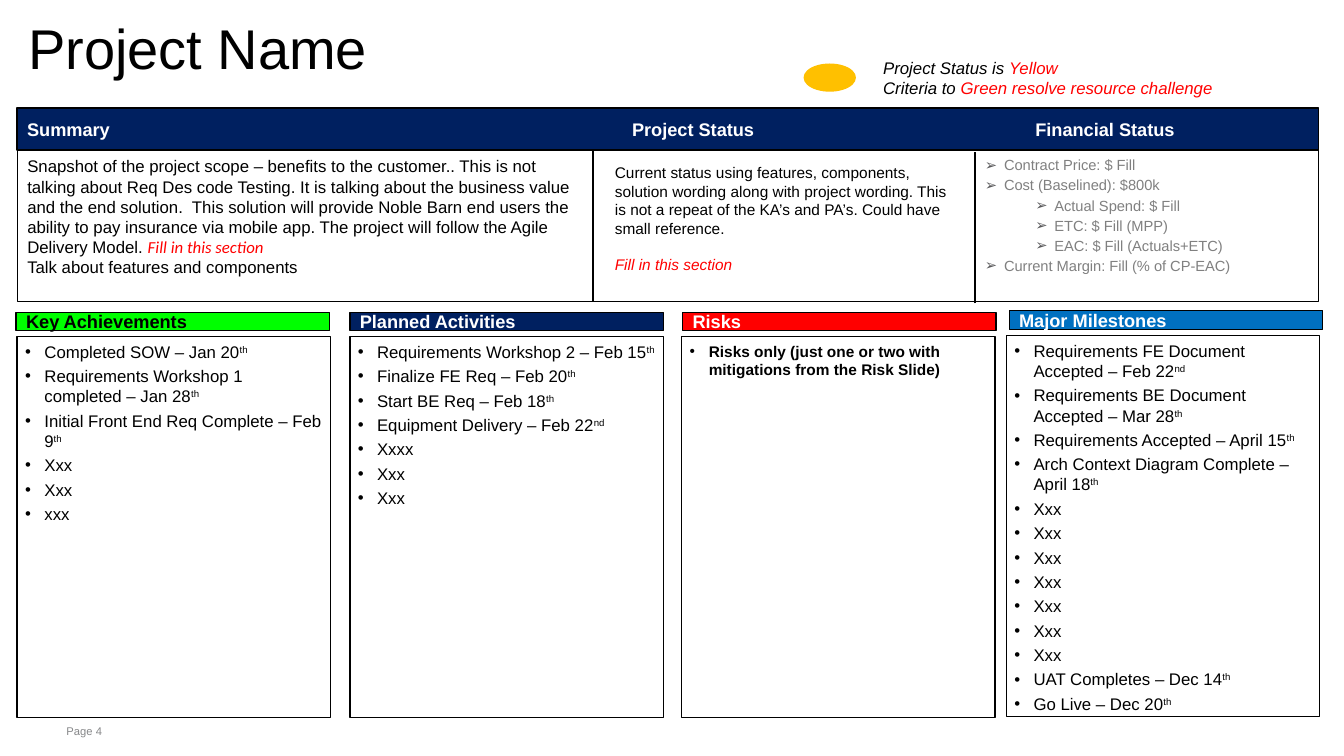
from lxml.etree import SubElement
from pptx import Presentation
from pptx.dml.color import RGBColor
from pptx.enum.shapes import MSO_CONNECTOR as Connector, MSO_SHAPE as Shape
from pptx.enum.text import MSO_ANCHOR as Anchor, PP_ALIGN as Align
from pptx.oxml.ns import qn
from pptx.util import Inches, Pt

SLIDE_WIDTH, SLIDE_HEIGHT = Inches(13.33), Inches(7.5)

BLACK = RGBColor(0x00, 0x00, 0x00)
WHITE = RGBColor(0xFF, 0xFF, 0xFF)
NAVY = RGBColor(0x00, 0x20, 0x60)
BLUE = RGBColor(0x00, 0x70, 0xC0)
GREEN = RGBColor(0x00, 0xFF, 0x00)
RED = RGBColor(0xFF, 0x00, 0x00)
AMBER = RGBColor(0xFF, 0xC0, 0x00)
GRAY = RGBColor(0x80, 0x80, 0x80)
PAGE_GRAY = RGBColor(0x87, 0x88, 0x8A)
BULLET_GRAY = RGBColor(0x58, 0x58, 0x5A)

BODY_INSET = (0.08, 0.05)
BAR_INSET = (0.1, 0.09)
HANG = 0.19
FILL_IN = "Fill in this section"

PANELS = [
    ("Key Achievements", GREEN, BLACK, (1.2, 41.33, 23.33, 2.4), (1.28, 44.53, 23.33, 50.4),
     ["Completed SOW – Jan 20^th", "Requirements Workshop 1 completed – Jan 28^th",
      "Initial Front End Req Complete – Feb 9^th", "Xxx", "Xxx", "xxx"], {}),
    ("Planned Activities", NAVY, WHITE, (26.03, 41.33, 23.33, 2.4), (26.03, 44.53, 23.33, 50.4),
     ["Requirements Workshop 2 – Feb 15^th", "Finalize FE Req – Feb 20^th",
      "Start BE Req – Feb 18^th", "Equipment Delivery – Feb 22^nd", "Xxxx", "Xxx", "Xxx"], {}),
    ("Risks", RED, WHITE, (50.79, 41.33, 23.33, 2.4), (50.71, 44.53, 23.33, 50.4),
     ["Risks only (just one or two with mitigations from the Risk Slide)"],
     {"size": 11, "bold": True}),
    ("Major Milestones", BLUE, WHITE, (75.09, 41.07, 23.33, 2.53), (74.87, 44.4, 23.33, 50.4),
     ["Requirements FE Document Accepted – Feb 22^nd",
      "Requirements BE Document Accepted – Mar 28^th",
      "Requirements Accepted – April 15^th", "Arch Context Diagram Complete – April 18^th",
      *["Xxx"] * 7, "UAT Completes – Dec 14^th", "Go Live – Dec 20^th"], {}),
]

FINANCES = [
    (0, "Contract Price: $ Fill"),
    (0, "Cost (Baselined): $800k"),
    (1, "Actual Spend: $ Fill"),
    (1, "ETC: $ Fill (MPP)"),
    (1, "EAC: $ Fill (Actuals+ETC)"),
    (0, "Current Margin: Fill (% of CP-EAC)"),
]


def place(left, top, width, height):
    return (round(SLIDE_WIDTH * left / 100), round(SLIDE_HEIGHT * top / 100),
            round(SLIDE_WIDTH * width / 100), round(SLIDE_HEIGHT * height / 100))


def add_run(paragraph, text, size=12, color=BLACK, bold=False, italic=False,
            name="Arial", raised=False):
    run = paragraph.add_run()
    run.text = text
    font = run.font
    font.size, font.name, font.bold, font.italic = Pt(size), name, bold, italic
    font.color.rgb = color
    if raised:
        run._r.get_or_add_rPr().set("baseline", "30000")


def add_bullet(paragraph, character, color, level=0):
    paragraph.level = level
    properties = paragraph._p.get_or_add_pPr()
    properties.set("marL", str(Inches(HANG + level * 0.5)))
    properties.set("indent", str(-Inches(HANG)))
    bullet_color = SubElement(properties, qn("a:buClr"))
    SubElement(bullet_color, qn("a:srgbClr"), val=str(color))
    SubElement(properties, qn("a:buFont"), typeface="Arial")
    SubElement(properties, qn("a:buChar"), char=character)


def add_tab_stops(paragraph, stops):
    tab_list = SubElement(paragraph._p.get_or_add_pPr(), qn("a:tabLst"))
    for stop in stops:
        SubElement(tab_list, qn("a:tab"), pos=str(Inches(stop)), algn="l")


def write_text(shape, paragraphs, inset=(0.1, 0.05), anchor=Anchor.TOP,
               space_after=0, line_spacing=None, **font):
    frame = shape.text_frame
    frame.word_wrap = True
    frame.vertical_anchor = anchor
    frame.margin_left = frame.margin_right = Inches(inset[0])
    frame.margin_top = frame.margin_bottom = Inches(inset[1])
    for index, runs in enumerate(paragraphs):
        paragraph = frame.add_paragraph() if index else frame.paragraphs[0]
        paragraph.alignment = Align.LEFT
        paragraph.space_after = Pt(space_after)
        if line_spacing:
            paragraph.line_spacing = line_spacing
        for text, changes in runs:
            add_run(paragraph, text, **{**font, **changes})
    return frame.paragraphs


def add_text(slide, box, paragraphs, **text_format):
    return write_text(slide.shapes.add_textbox(*place(*box)), paragraphs, **text_format)


def add_block(slide, box, fill, line_width=1, kind=Shape.RECTANGLE):
    shape = slide.shapes.add_shape(kind, *place(*box))
    shape.shadow.inherit = False
    shape.fill.solid()
    shape.fill.fore_color.rgb = fill
    if line_width:
        shape.line.color.rgb = BLACK
        shape.line.width = Pt(line_width)
    else:
        shape.line.fill.background()
    return shape


def add_bar(slide, box, title, fill, color):
    return write_text(add_block(slide, box, fill), [[(title, {})]], inset=BAR_INSET,
                      anchor=Anchor.MIDDLE, size=13, bold=True, color=color)


def add_divider(slide, left, top, height):
    x, y, _, length = place(left, top, 0, height)
    divider = slide.shapes.add_connector(Connector.STRAIGHT, x, y + length, x, y)
    divider.line.color.rgb = BLACK
    divider.line.width = Pt(1)
    SubElement(divider._element.spPr, qn("a:effectLst"))


def dated_runs(item):
    text, _, suffix = item.partition("^")
    return [(text, {})] + ([(suffix, {"raised": True})] if suffix else [])


def add_panel(slide, title, fill, color, bar_box, body_box, items, font):
    add_bar(slide, bar_box, title, fill, color)
    paragraphs = write_text(add_block(slide, body_box, WHITE), map(dated_runs, items),
                            inset=BODY_INSET, space_after=3, **font)
    for paragraph in paragraphs:
        add_bullet(paragraph, "•", BLACK)


def add_heading(slide):
    add_text(slide, (1.5, 0, 96.47, 14.27), [[("Project Name", {})]], inset=(0.08, 0),
             anchor=Anchor.MIDDLE, line_spacing=0.75, size=40)
    add_block(slide, (59.79, 8.4, 3.9, 3.73), AMBER, line_width=0, kind=Shape.OVAL)
    add_text(slide, (64.97, 6.93, 28.28, 6.67), [
        [("Project Status is ", {}), ("Yellow", {"color": RED})],
        [("Criteria to ", {}), ("Green resolve resource challenge", {"color": RED})],
    ], italic=True)


def add_overview(slide):
    add_block(slide, (1.28, 18.53, 96.85, 21.33), WHITE, line_width=0.75)
    header = add_bar(slide, (1.28, 14.27, 96.85, 5.6),
                     "Summary\tProject Status\tFinancial Status", NAVY, WHITE)
    add_tab_stops(header[0], (6, 10))
    add_text(slide, (1.43, 20, 41.79, 17.47), [
        [("Snapshot of the project scope – benefits to the customer.. This is not talking about "
          "Req Des code Testing. It is talking about the business value and the end solution.  "
          "This solution will provide Noble Barn end users the ability to pay insurance via "
          "mobile app. The project will follow the Agile Delivery Model. ", {}),
         (FILL_IN, {"name": "Calibri", "color": RED, "italic": True})],
        [("Talk about features and components", {})],
    ], inset=BODY_INSET)
    status = add_text(slide, (45.01, 20.93, 27.16, 16.13), [
        [("Current status using features, components, solution wording along with project "
          "wording. This is not a repeat of the KA’s and PA’s. Could have small reference.", {})],
        [(FILL_IN, {"color": RED, "italic": True})],
    ], size=11)
    status[1].space_before = Pt(12.65)
    add_divider(slide, 44.11, 19.87, 20)
    add_divider(slide, 72.54, 20.13, 20)
    finances = add_text(slide, (72.54, 20.27, 25.43, 17.07),
                        [[(text, {})] for _, text in FINANCES],
                        space_after=3, line_spacing=0.9, size=10.5, color=GRAY)
    for paragraph, (level, _) in zip(finances, FINANCES):
        add_bullet(paragraph, "➢", BULLET_GRAY, level)


def main():
    presentation = Presentation()
    presentation.slide_width, presentation.slide_height = SLIDE_WIDTH, SLIDE_HEIGHT
    slide = presentation.slides.add_slide(presentation.slide_layouts[6])
    add_text(slide, (4.35, 95.2, 80.95, 3.2), [[("Page 4", {})]], inset=BODY_INSET,
             size=8, color=PAGE_GRAY)
    add_heading(slide)
    add_overview(slide)
    for panel in PANELS:
        add_panel(slide, *panel)
    presentation.save("out.pptx")


if __name__ == "__main__":
    main()
